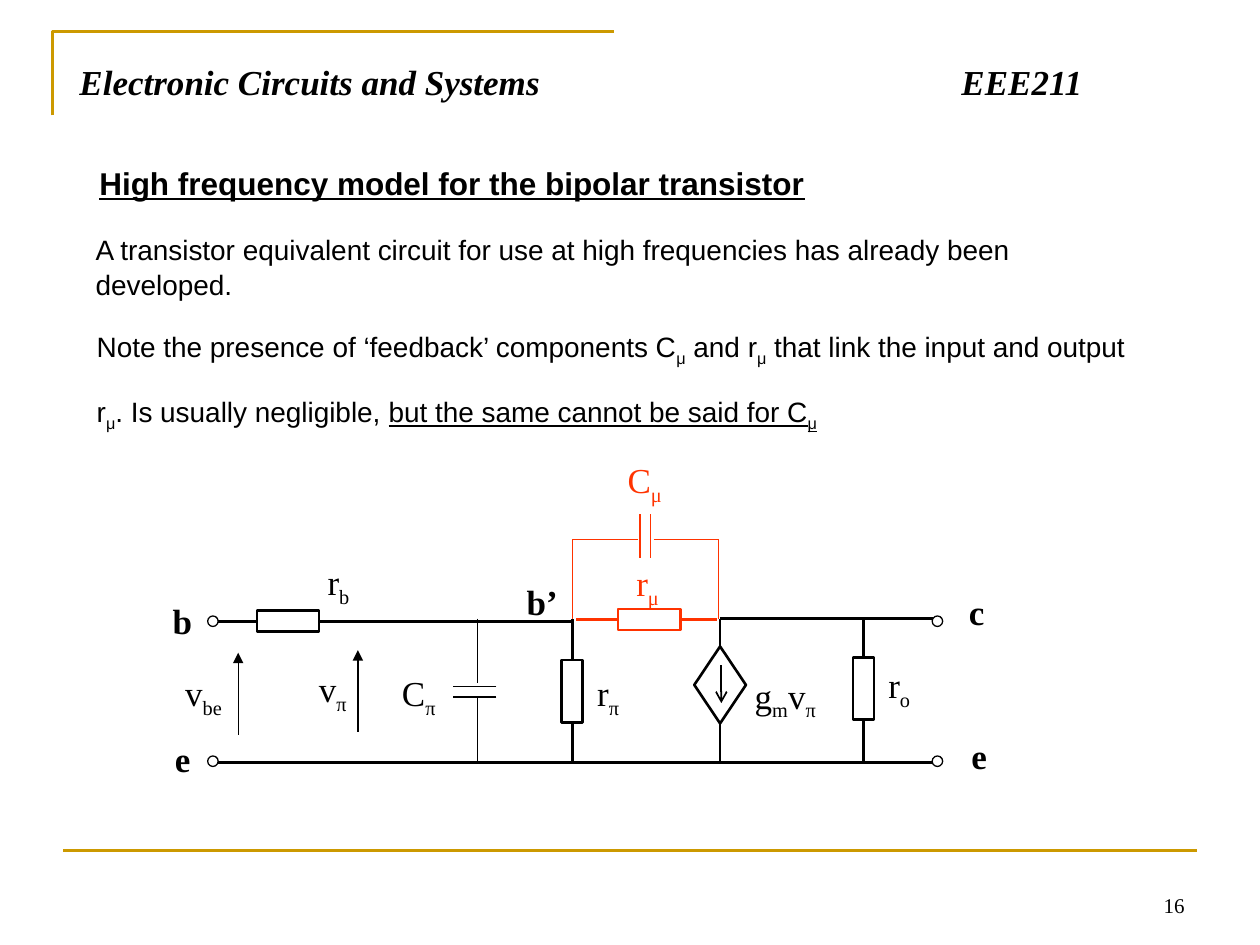
from lxml.etree import SubElement
from pptx import Presentation
from pptx.dml.color import RGBColor
from pptx.enum.shapes import MSO_CONNECTOR, MSO_SHAPE
from pptx.enum.text import MSO_ANCHOR, PP_ALIGN
from pptx.oxml.ns import qn
from pptx.util import Pt

BLACK, WHITE, GOLD, RED = "000000", "FFFFFF", "CC9900", "FF3300"
SERIF, SANS = "Times New Roman", "Arial"

HEADER = [("Electronic Circuits and Systems\tEEE211", "bi")]
COURSE_CODE_TAB = 504

# style letters: b bold, i italic, u underlined, s subscript
BODY = [
    (49.7, 89.3, 593.3, 28.8, 18, [("High frequency model for the bipolar transistor", "bu")]),
    (47.5, 128.2, 612.7, 46.1, 16, [
        ("A transistor equivalent circuit for use at high frequencies has already been developed.", "")]),
    (48.2, 183.6, 612.7, 26.6, 16, [
        ("Note the presence of ‘feedback’ components C", ""), ("μ", "s"), (" and r", ""),
        ("μ", "s"), (" that link the input and output", "")]),
    (48.2, 221, 612.7, 26.6, 16, [
        ("r", ""), ("μ", "s"), (". Is usually negligible, ", ""),
        ("but the same cannot be said for C", "u"), ("μ", "us")]),
]

LABELS = [
    (98.6, 341.3, 13, BLACK, [("b", "b")]),
    (100, 420.5, 11, BLACK, [("e", "b")]),
    (301, 330.5, 30, BLACK, [("b’", "b")]),
    (553.7, 336.2, 11, BLACK, [("c", "b")]),
    (555.1, 418.3, 11, BLACK, [("e", "b")]),
    (187.2, 319, 16, BLACK, [("r", ""), ("b", "s")]),
    (105.8, 382.3, 27, BLACK, [("v", ""), ("be", "s")]),
    (182.2, 380.2, 20, BLACK, [("v", ""), ("π", "s")]),
    (229.7, 382.3, 34, BLACK, [("C", ""), ("π", "s")]),
    (341.3, 382.3, 20, BLACK, [("r", ""), ("π", "s")]),
    (431.3, 383.8, 42, BLACK, [("g", ""), ("m", "s"), ("v", ""), ("π", "s")]),
    (507.6, 378, 16, BLACK, [("r", ""), ("o", "s")]),
    (363.6, 319.7, 16, RED, [("r", ""), ("μ", "s")]),
    (358.6, 260.6, 26, RED, [("C", ""), ("μ", "s")]),
]

LEFT, RIGHT = 121.7, 535.7
BASE_RAIL, COLLECTOR_RAIL, EMITTER_RAIL = 355, 353.5, 435.8
C_PI_X, R_PI_X, SOURCE_X, R_O_X = 273, 327, 411.5, 493.5
FEEDBACK_Y, C_MU_X = 308.2, 368.7
C_PI_Y = 395.3

COMPONENTS = {
    "r_pi": (MSO_SHAPE.RECTANGLE, R_PI_X, 395, 12, 35.5, BLACK),
    "r_o": (MSO_SHAPE.RECTANGLE, R_O_X, 393.5, 12, 35.5, BLACK),
    "r_mu": (MSO_SHAPE.RECTANGLE, 371, 354, 35.5, 12, RED),
    "source": (MSO_SHAPE.DIAMOND, SOURCE_X, 391.4, 29.5, 44, BLACK),
}
R_B = (MSO_SHAPE.RECTANGLE, 164.7, 354.8, 35.5, 12, BLACK)
TERMINALS = [(x, y) for x in (LEFT, RIGHT) for y in (355, 435)]

TOP, SIDE_LEFT, BOTTOM, SIDE_RIGHT = range(4)
WIRES = [
    ((LEFT, EMITTER_RAIL), (RIGHT, EMITTER_RAIL), 1.5, BLACK),
    ((R_PI_X, BASE_RAIL), (LEFT, BASE_RAIL), 1.5, BLACK),
    ((SOURCE_X, COLLECTOR_RAIL), (RIGHT, COLLECTOR_RAIL), 1.5, BLACK),
    (("r_pi", TOP), (R_PI_X, COLLECTOR_RAIL), 1.5, BLACK),
    (("r_pi", BOTTOM), (R_PI_X, EMITTER_RAIL), 1.5, BLACK),
    (("source", TOP), (SOURCE_X, COLLECTOR_RAIL), 1, BLACK),
    (("source", BOTTOM), (SOURCE_X, EMITTER_RAIL), 1.5, BLACK),
    (("r_o", TOP), (R_O_X, COLLECTOR_RAIL), 1.5, BLACK),
    (("r_o", BOTTOM), (R_O_X, EMITTER_RAIL), 1.5, BLACK),
    (("r_mu", SIDE_RIGHT), (SOURCE_X - 1.5, 354), 1.5, RED),
    (("r_mu", SIDE_LEFT), (R_PI_X + 2, 354), 1.5, RED),
    ((C_PI_X, COLLECTOR_RAIL), (C_PI_X, C_PI_Y - 5), 0.75, BLACK),
    ((C_PI_X, C_PI_Y + 3), (C_PI_X, EMITTER_RAIL), 0.75, BLACK),
    ((C_MU_X + 5, FEEDBACK_Y), (410.4, FEEDBACK_Y), 0.75, RED),
    ((C_MU_X - 4, FEEDBACK_Y), (R_PI_X, FEEDBACK_Y), 0.75, RED),
    ((410.4, COLLECTOR_RAIL), (410.4, FEEDBACK_Y), 0.75, RED),
    ((R_PI_X, COLLECTOR_RAIL), (R_PI_X, FEEDBACK_Y), 0.75, RED),
]
for half_gap in (-3, 3):
    WIRES += [
        ((283.7, C_PI_Y + half_gap), (258.8, C_PI_Y + half_gap), 0.75, BLACK),
        ((C_MU_X + half_gap, 318.6), (C_MU_X + half_gap, 293.8), 0.75, RED),
    ]
ARROWS = [
    ((136.1, 419.8), (136.1, 373), 0.75, "triangle"),
    ((204.5, 418.3), (204.5, 371.5), 0.75, "triangle"),
    ((412.2, 380.2), (412.2, 401.8), 1, "arrow"),
]


def color(hex_code):
    return RGBColor.from_string(hex_code)


def write(paragraph, runs, size, font, ink=BLACK):
    for text, style in runs:
        run = paragraph.add_run()
        run.text = text
        face = run.font
        face.name, face.size = font, Pt(size)
        face.color.rgb = color(ink)
        face.bold, face.italic, face.underline = ("b" in style, "i" in style, "u" in style)
        if "s" in style:
            run._r.get_or_add_rPr().set("baseline", "-25000")


def add_text(left, top, width, height, runs, size, font, ink=BLACK, inset=True):
    frame = slide.shapes.add_textbox(Pt(left), Pt(top), Pt(width), Pt(height)).text_frame
    frame.word_wrap = True
    if not inset:
        frame.margin_left = frame.margin_right = frame.margin_top = frame.margin_bottom = 0
    paragraph = frame.paragraphs[0]
    paragraph.line_spacing = 1.05
    write(paragraph, runs, size, font, ink)
    return frame


def add_part(kind, x, y, width, height, ink, weight=1.5):
    part = slide.shapes.add_shape(kind, Pt(x - width / 2), Pt(y - height / 2), Pt(width), Pt(height))
    part.shadow.inherit = False
    part.fill.solid()
    part.fill.fore_color.rgb = color(WHITE)
    part.line.color.rgb = color(ink)
    part.line.width = Pt(weight)
    return part


def add_wire(start, end, weight, ink, head=None):
    joined = isinstance(start[0], str)
    x, y = end if joined else start
    wire = slide.shapes.add_connector(MSO_CONNECTOR.STRAIGHT, Pt(x), Pt(y), Pt(end[0]), Pt(end[1]))
    if joined:
        wire.begin_connect(parts[start[0]], start[1])
    wire.line.color.rgb = color(ink)
    wire.line.width = Pt(weight)
    if head:
        SubElement(wire.line._get_or_add_ln(), qn("a:tailEnd"), type=head)
    SubElement(wire._element.spPr, qn("a:effectLst"))


deck = Presentation()
deck.slide_width, deck.slide_height = Pt(720), Pt(540)
slide = deck.slides.add_slide(deck.slide_layouts[5])

corner = slide.shapes.build_freeform(Pt(30), Pt(66), scale=1.0)
corner.add_line_segments([(Pt(30), Pt(18)), (Pt(351), Pt(18))], close=False)
corner_rule = corner.convert_to_shape()
corner_rule.shadow.inherit = False
corner_rule.fill.background()
corner_rule.line.color.rgb = color(GOLD)
corner_rule.line.width = Pt(1.5)
add_wire((36, 486), (684, 486), 1.5, GOLD)

header = slide.shapes.title
header.left, header.top, header.width, header.height = Pt(38.2), Pt(28.8), Pt(642.2), Pt(43.9)
header.text_frame.vertical_anchor = MSO_ANCHOR.TOP
header.text_frame.margin_top = Pt(5.5)
header_line = header.text_frame.paragraphs[0]
header_line.alignment = PP_ALIGN.LEFT
tabs = SubElement(header_line._p.get_or_add_pPr(), qn("a:tabLst"))
SubElement(tabs, qn("a:tab"), pos=str(Pt(COURSE_CODE_TAB)), algn="l")
write(header_line, HEADER, 20, SERIF)

for left, top, width, height, size, runs in BODY:
    add_text(left, top, width, height, runs, size, SANS)

parts = {name: add_part(*component) for name, component in COMPONENTS.items()}
for wire in WIRES:
    add_wire(*wire)
add_part(*R_B)
for x, y in TERMINALS:
    add_part(MSO_SHAPE.OVAL, x, y, 6, 6, BLACK, 0.75)
for start, end, weight, head in ARROWS:
    add_wire(start, end, weight, BLACK, head)
for left, top, width, ink, runs in LABELS:
    add_text(left, top, width, 23.8, runs, 20, SERIF, ink, inset=False)

page = add_text(516.2, 491.8, 167.8, 36, [("16", "")], 12, SERIF)
page.vertical_anchor = MSO_ANCHOR.BOTTOM
page.paragraphs[0].alignment = PP_ALIGN.RIGHT

deck.save("out.pptx")
